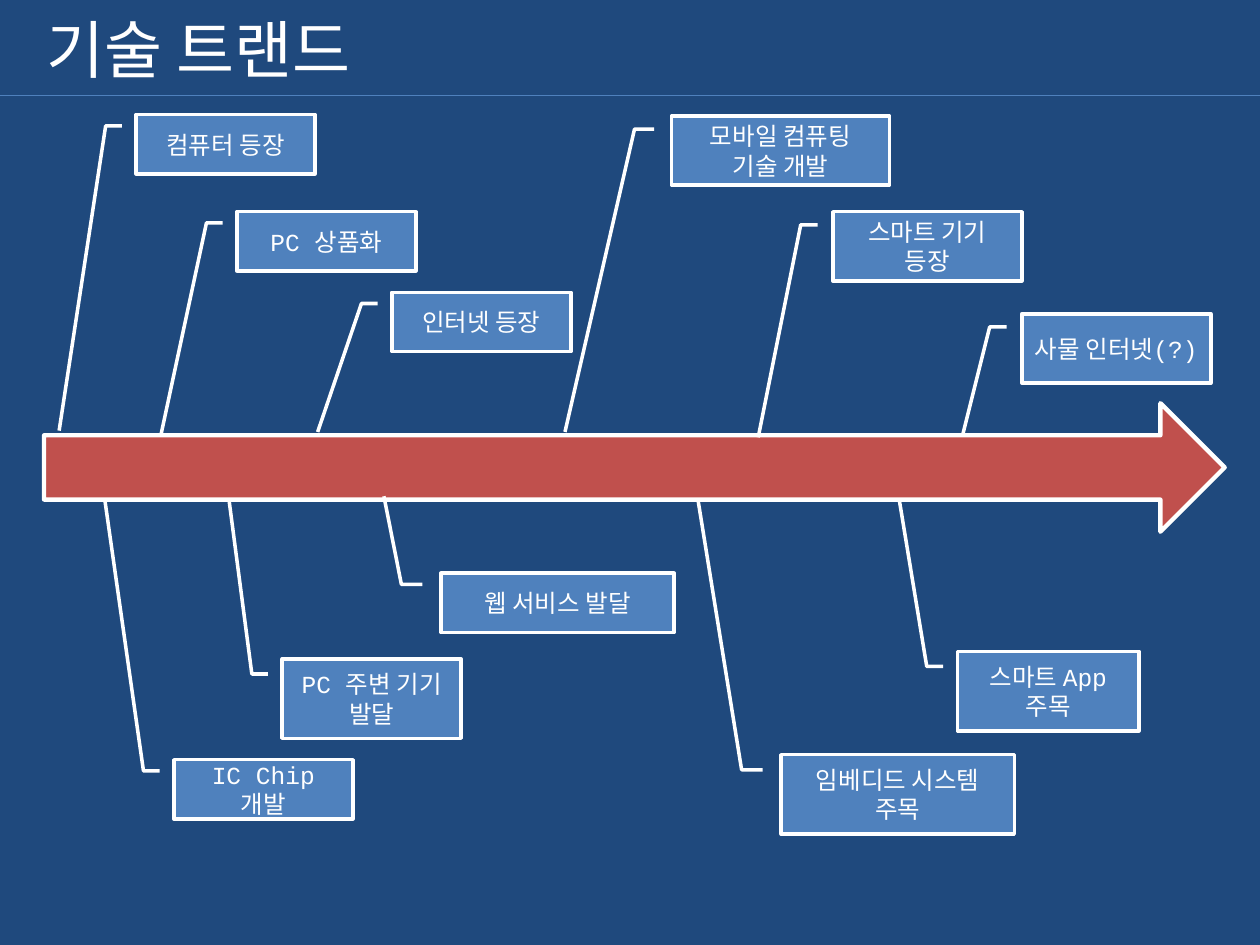
import pptx
import pptx.dml.color
import pptx.enum.shapes
import pptx.enum.text
import pptx.oxml.ns
import pptx.util
from lxml import etree

Inches = pptx.util.Inches
Shapes = pptx.enum.shapes.MSO_SHAPE
Align = pptx.enum.text.PP_ALIGN
Anchor = pptx.enum.text.MSO_ANCHOR

MILESTONES = [
    (1.08, 0.91, 1.42, 0.47, 5.336, -0.43, "컴퓨터 등장"),
    (1.38, 6.03, 1.42, 0.47, -4.387, -0.386, "IC Chip 개발"),
    (1.88, 1.68, 1.42, 0.47, 3.748, -0.423, "PC 상품화"),
    (2.24, 5.23, 1.42, 0.63, -2.006, -0.298, "PC 주변 기기\n발달"),
    (3.11, 2.32, 1.42, 0.47, 2.36, -0.415, "인터넷 등장"),
    (6.2, 5.99, 1.85, 0.63, -3.229, -0.358, "임베디드 시스템\n주목"),
    (5.33, 0.92, 1.73, 0.55, 4.561, -0.489, "모바일 컴퓨팅\n기술 개발"),
    (3.5, 4.55, 1.85, 0.47, -1.3, -0.245, "웹 서비스 발달"),
    (6.61, 1.68, 1.5, 0.55, 3.257, -0.395, "스마트 기기\n등장"),
    (7.6, 5.17, 1.44, 0.63, -1.906, -0.321, "스마트 App\n주목"),
    (8.11, 2.49, 1.5, 0.55, 1.727, -0.311, "사물 인터넷(?)"),
]


def color(value):
    return pptx.dml.color.RGBColor.from_string(value)


class TimelineSlide:
    font = "Courier New"
    white = "FFFFFF"
    blue = "4F81BD"
    red = "C0504D"
    navy = "1F497D"

    def __init__(self, deck):
        self.page = deck.slides.add_slide(deck.slide_layouts[5])
        fill = self.page.background.fill
        fill.solid()
        fill.fore_color.rgb = color(self.navy)

    def label(self, box, text, size, align):
        frame = box.text_frame
        frame.text = text
        settings = {
            "word_wrap": True,
            "auto_size": pptx.enum.text.MSO_AUTO_SIZE.NONE,
            "vertical_anchor": Anchor.MIDDLE,
        }
        for name, value in settings.items():
            setattr(frame, name, value)
        for para in frame.paragraphs:
            para.alignment = align
            for span in para.runs:
                for name, value in {"name": self.font, "size": pptx.util.Pt(size)}.items():
                    setattr(span.font, name, value)
                span.font.color.rgb = color(self.white)

    def title(self, text, left, top, width, height):
        box = self.page.shapes.title
        place = {"left": left, "top": top, "width": width, "height": height}
        for name, value in place.items():
            setattr(box, name, Inches(value))
        self.label(box, text, 36, Align.LEFT)

    def rule(self, top):
        line = self.page.shapes.add_connector(
            pptx.enum.shapes.MSO_CONNECTOR.STRAIGHT,
            Inches(0), Inches(top), Inches(10), Inches(top))
        line.line.color.rgb = color(self.blue)
        line.line.width = pptx.util.Pt(0.75)
        etree.SubElement(line._element.spPr, pptx.oxml.ns.qn("a:effectLst"))

    def shape(self, kind, place, fill, width):
        box = self.page.shapes.add_shape(kind, *map(Inches, place))
        box.shadow.inherit = False
        box.fill.solid()
        box.fill.fore_color.rgb = color(fill)
        box.line.color.rgb = color(self.white)
        box.line.width = pptx.util.Pt(width)
        return box

    def arrow(self, *place):
        self.shape(Shapes.RIGHT_ARROW, place, self.red, 2.5)

    def callout(self, left, top, width, height, tip_y, tip_x, text):
        box = self.shape(Shapes.LINE_CALLOUT_2, (left, top, width, height), self.blue, 2)
        bends = (0.19, -0.08, 0.19, -0.17, tip_y, tip_x)
        for index, value in enumerate(bends):
            box.adjustments[index] = value
        self.label(box, text, 14, Align.CENTER)


def main():
    deck = pptx.Presentation()
    deck.slide_width = Inches(10)
    deck.slide_height = Inches(7.5)
    timeline = TimelineSlide(deck)
    timeline.rule(0.76)
    timeline.title("기술 트랜드", 0.27, 0, 7.56, 0.76)
    timeline.arrow(0.35, 3.2, 9.37, 1.02)
    for milestone in MILESTONES:
        timeline.callout(*milestone)
    deck.save("out.pptx")


if __name__ == "__main__":
    main()
